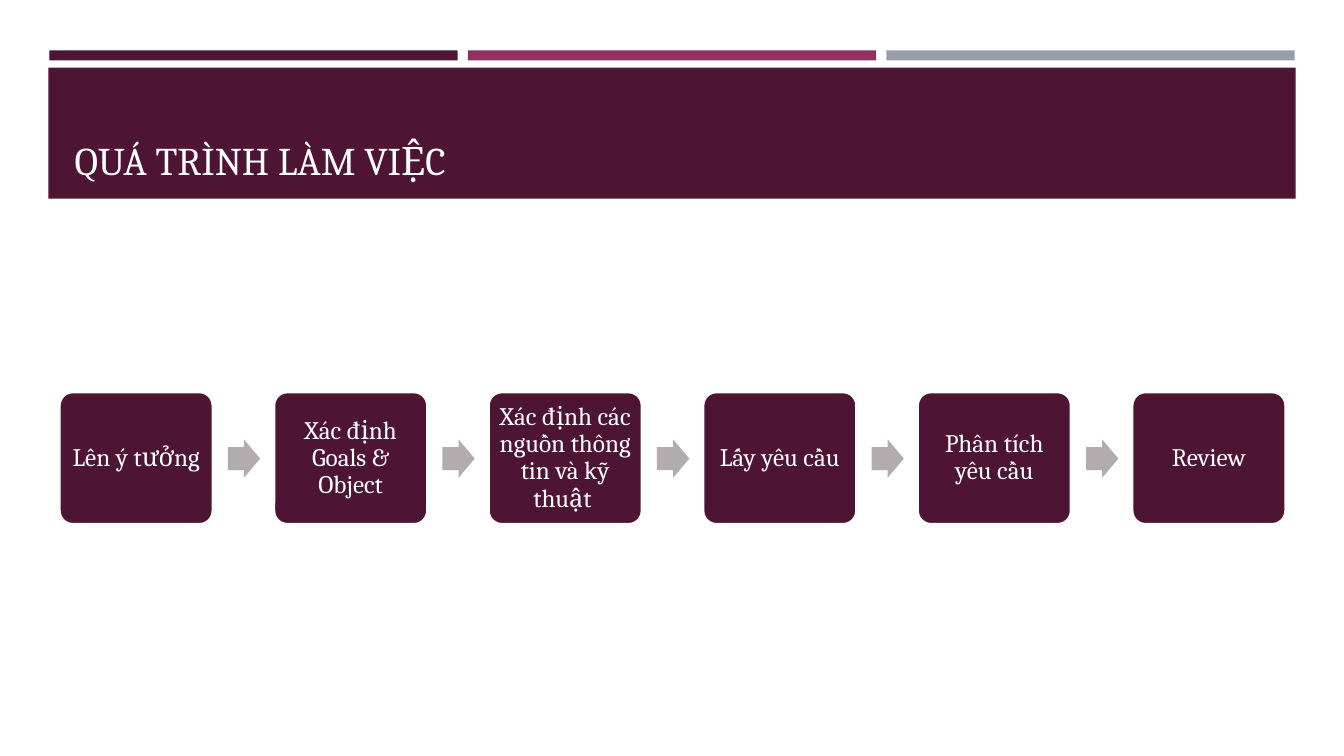
import pptx
import pptx.util
from pptx.dml.color import RGBColor
from pptx.enum.shapes import MSO_SHAPE
from pptx.enum.text import MSO_ANCHOR, MSO_AUTO_SIZE, PP_ALIGN
from pptx.util import Inches

FONT = "Cambria"
COLORS = {
    "plum": "4D1434",
    "magenta": "903163",
    "gray": "969FA7",
    "arrow": "B2ACAE",
    "white": "FFFFFF",
}
STEPS = [
    "Lên ý tưởng",
    "Xác định Goals & Object",
    "Xác định các nguồn thông tin và kỹ thuật ",
    "Lấy yêu cầu",
    "Phân tích yêu cầu",
    "Review",
]
STEP_LEFT, STEP_PITCH = 0.59, 2.128
ARROW_OFFSET = 1.67


def rgb(name):
    return RGBColor.from_string(COLORS[name])


def add_block(s, kind, left, top, width, height, color):
    sp = s.shapes.add_shape(
        kind, Inches(left), Inches(top), Inches(width), Inches(height)
    )
    sp.shadow.inherit = False
    sp.fill.solid()
    sp.fill.fore_color.rgb = rgb(color)
    sp.line.fill.background()
    return sp


def write_text(tf, text, size, align, anchor):
    tf.text = text
    tf.word_wrap = True
    tf.auto_size = MSO_AUTO_SIZE.NONE
    tf.vertical_anchor = anchor
    p = tf.paragraphs[0]
    p.alignment = align
    p.line_spacing = 0.9
    for r in p.runs:
        r.font.name = FONT
        r.font.size = pptx.util.Pt(size)
        r.font.color.rgb = rgb("white")


def add_title(s, text):
    sp = s.shapes.title
    sp.left, sp.top = Inches(0.64), Inches(0.77)
    sp.width, sp.height = Inches(12.06), Inches(1.11)
    write_text(sp.text_frame, text, 28, PP_ALIGN.LEFT, MSO_ANCHOR.BOTTOM)
    # Bring the title in front of its band
    s.shapes.element.append(sp.element)


def add_step(s, left, text):
    sp = add_block(s, MSO_SHAPE.ROUNDED_RECTANGLE, left, 3.89, 1.52, 1.31, "plum")
    sp.adjustments[0] = 0.1
    sp.line.color.rgb = rgb("white")
    sp.line.width = pptx.util.Pt(1.75)
    tf = sp.text_frame
    tf.margin_left = tf.margin_right = Inches(0.07)
    tf.margin_top = tf.margin_bottom = Inches(0.07)
    write_text(tf, text, 18, PP_ALIGN.CENTER, MSO_ANCHOR.MIDDLE)


def add_arrow(s, left):
    sp = add_block(s, MSO_SHAPE.RIGHT_ARROW, left, 4.36, 0.32, 0.38, "arrow")
    sp.adjustments[0] = 0.6
    sp.adjustments[1] = 0.5


def main():
    prs = pptx.Presentation()
    prs.slide_width, prs.slide_height = Inches(13.33), Inches(7.5)
    s = prs.slides.add_slide(prs.slide_layouts[5])

    # Header strips and title band
    for i, color in enumerate(["plum", "magenta", "gray"]):
        add_block(s, MSO_SHAPE.RECTANGLE, 0.49 + 4.15 * i, 0.5, 4.05, 0.1, color)
    add_block(s, MSO_SHAPE.RECTANGLE, 0.48, 0.67, 12.37, 1.3, "plum")
    add_title(s, "QUÁ TRÌNH LÀM VIỆC")

    # Process steps with an arrow between neighbours
    for i, text in enumerate(STEPS):
        left = STEP_LEFT + STEP_PITCH * i
        add_step(s, left, text)
        if i < len(STEPS) - 1:
            add_arrow(s, left + ARROW_OFFSET)

    prs.save("out.pptx")


if __name__ == "__main__":
    main()
